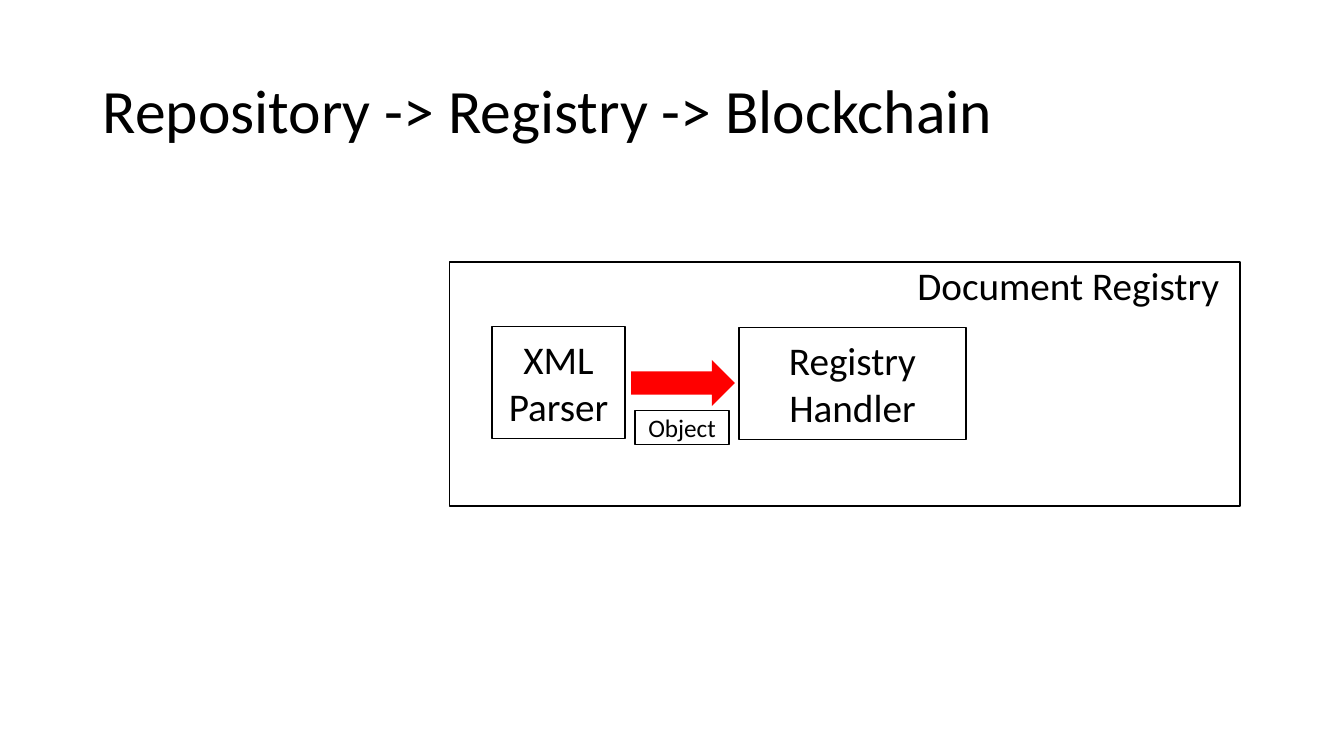
from dataclasses import dataclass

import pptx
import pptx.dml.color
import pptx.enum.shapes
import pptx.enum.text
import pptx.shapes.autoshape
import pptx.slide
import pptx.util

MSO = pptx.enum.shapes.MSO_SHAPE
ALIGN = pptx.enum.text.PP_ALIGN
CELL = 0.1  # side of a grid cell in inches


@dataclass(frozen=True)
class Theme:
    font: str = "Calibri"
    ink: str = "000000"
    paper: str = "FFFFFF"
    arrow: str = "FF0000"
    title: int = 44
    body: int = 28
    small: int = 18
    line: int = 1


THEME = Theme()


@dataclass(frozen=True)
class Area:
    """A place on the grid, in columns and rows."""
    col: float
    row: float
    cols: float
    rows: float

    def emu(self) -> list[int]:
        return [pptx.util.Inches(n * CELL)
                for n in (self.col, self.row, self.cols, self.rows)]


@dataclass(frozen=True)
class Block:
    area: Area
    text: str = ""
    size: int = THEME.body
    shape: MSO = MSO.RECTANGLE
    fill: str | None = None
    line: str | None = THEME.ink


@dataclass(frozen=True)
class Label:
    area: Area
    text: str
    size: int = THEME.body
    align: ALIGN = ALIGN.CENTER
    spacing: float = 1.0


BLOCKS = [
    Block(Area(48.8, 32.4, 13.2, 11.1), "XML Parser"),
    Block(Area(73.3, 32.5, 22.5, 11.1), "Registry Handler"),
    Block(Area(62.6, 35.7, 10.3, 4.6), shape=MSO.RIGHT_ARROW,
          fill=THEME.arrow, line=None),
    Block(Area(63, 40.7, 9.3, 3.4), "Object", THEME.small, fill=THEME.paper),
    Block(Area(44.6, 26, 78.4, 24.2)),
]
LABELS = [
    Label(Area(89, 26, 33.9, 4.6), "Document Registry"),
    Label(Area(9.2, 4, 115, 14.5), "Repository -> Registry -> Blockchain",
          THEME.title, ALIGN.LEFT, 0.9),
]


def rgb(color: str) -> pptx.dml.color.RGBColor:
    return pptx.dml.color.RGBColor.from_string(color)


def write(sp: pptx.shapes.autoshape.Shape, text: str, *, size: int,
          align: ALIGN = ALIGN.CENTER, spacing: float = 1.0) -> None:
    tf = sp.text_frame
    tf.word_wrap = True
    tf.vertical_anchor = pptx.enum.text.MSO_ANCHOR.MIDDLE
    p = tf.paragraphs[0]
    p.alignment = align
    p.line_spacing = spacing
    r = p.add_run()
    r.text = text
    r.font.name = THEME.font
    r.font.size = pptx.util.Pt(size)
    r.font.color.rgb = rgb(THEME.ink)


def add_block(s: pptx.slide.Slide, block: Block) -> None:
    sp = s.shapes.add_shape(block.shape, *block.area.emu())
    sp.shadow.inherit = False
    if block.fill:
        sp.fill.solid()
        sp.fill.fore_color.rgb = rgb(block.fill)
    else:
        sp.fill.background()
    if block.line:
        sp.line.color.rgb = rgb(block.line)
        sp.line.width = pptx.util.Pt(THEME.line)
    else:
        sp.line.fill.background()
    if block.text:
        write(sp, block.text, size=block.size)


def add_label(s: pptx.slide.Slide, label: Label) -> None:
    sp = s.shapes.add_textbox(*label.area.emu())
    write(sp, label.text, size=label.size, align=label.align,
          spacing=label.spacing)


def main() -> None:
    prs = pptx.Presentation()
    prs.slide_width = pptx.util.Inches(13.33)
    prs.slide_height = pptx.util.Inches(7.5)
    s = prs.slides.add_slide(prs.slide_layouts[6])
    for block in BLOCKS:
        add_block(s, block)
    for label in LABELS:
        add_label(s, label)
    prs.save("out.pptx")


if __name__ == "__main__":
    main()
